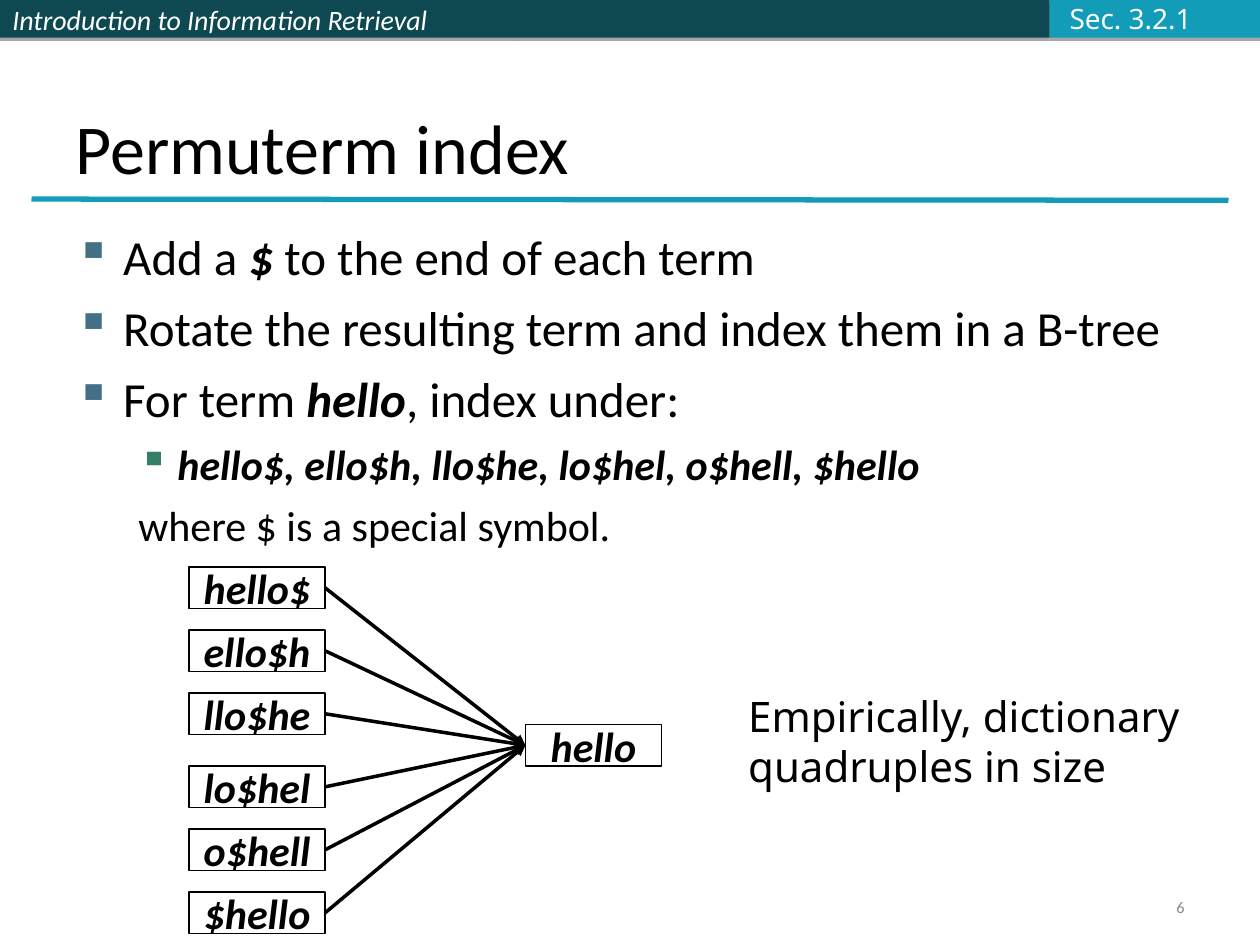
from lxml import etree
from pptx import Presentation
from pptx.dml.color import RGBColor
from pptx.enum.shapes import MSO_CONNECTOR, MSO_SHAPE
from pptx.enum.text import MSO_ANCHOR, MSO_AUTO_SIZE, PP_ALIGN
from pptx.oxml.ns import qn
from pptx.util import Inches, Pt

RECTANGLE = MSO_SHAPE.RECTANGLE
STRAIGHT = MSO_CONNECTOR.STRAIGHT
TOP, MIDDLE, BOTTOM = MSO_ANCHOR.TOP, MSO_ANCHOR.MIDDLE, MSO_ANCHOR.BOTTOM
LEFT, CENTER, RIGHT = PP_ALIGN.LEFT, PP_ALIGN.CENTER, PP_ALIGN.RIGHT
FIT_SHAPE = MSO_AUTO_SIZE.SHAPE_TO_FIT_TEXT
RIGHT_SITE, LEFT_SITE = 3, 1

COLORS = {
    "dark": "0E4851", "teal": "139CB7", "ink": "000000", "white": "FFFFFF",
    "section": "FBFCFF", "number": "898989",
    "bullet": "437085", "sub_bullet": "357E69",
}
WIDTH, HEIGHT = 10, 7.5
BAR_HEIGHT = 0.3
COURSE = "Introduction to Information Retrieval"
SECTION = "Sec. 3.2.1"
TITLE = "Permuterm index"
PAGE = "6"
BARS = [("dark", 4.08), ("dark", 4.25), ("teal", 1.67)]

MAIN = {"size": 28, "before": 7, "indent": (0.38, -0.38), "bullet": "bullet"}
SUB = {"size": 24, "before": 6, "indent": (0.81, -0.31), "bullet": "sub_bullet"}
POINTS = [
    ([("Add a ", False), ("$", True), (" to the end of each term", False)], MAIN),
    ([("Rotate the resulting term and index them in a B-tree", False)], MAIN),
    ([("For term ", False), ("hello", True), (", index under:", False)], MAIN),
    ([("hello$, ello$h, llo$he, lo$hel, o$hell, $hello", True)], SUB),
    ([("where $ is a special symbol.", False)], {**SUB, "bullet": None}),
]
ROTATION_GROUPS = [(4.5, ["hello$", "ello$h", "llo$he"]),
                   (6.08, ["lo$hel", "o$hell", "$hello"])]
ROTATION_PITCH = 0.5
ROTATION_LEFT, TERM_LEFT, TERM_TOP = 1.5, 4.17, 5.75
BOX_WIDTH, BOX_HEIGHT = 1.08, 0.33
TERM = "hello"
REMARK = ["Empirically, dictionary", "quadruples in size"]


def rgb(name):
    return RGBColor.from_string(COLORS[name])


def write(frame, text, size=24, color="ink", font="Calibri", bold=False, italic=False,
          align=LEFT, before=0, spacing=None, indent=None, bullet=None, first=True):
    paragraph = frame.paragraphs[0] if first else frame.add_paragraph()
    paragraph.alignment = align
    paragraph.space_before = Pt(before)
    if spacing:
        paragraph.line_spacing = spacing
    if indent:
        properties = paragraph._p.get_or_add_pPr()
        properties.set("marL", str(Inches(indent[0])))
        properties.set("indent", str(Inches(indent[1])))
        if bullet:
            tint = etree.SubElement(properties, qn("a:buClr"))
            etree.SubElement(tint, qn("a:srgbClr"), val=COLORS[bullet])
            etree.SubElement(properties, qn("a:buChar"), char="▪")
        else:
            etree.SubElement(properties, qn("a:buNone"))
    pieces = [(text, False)] if isinstance(text, str) else text
    for words, strong in pieces:
        run = paragraph.add_run()
        run.text = words
        run.font.name, run.font.size = font, Pt(size)
        run.font.bold, run.font.italic = bold or strong, italic or strong
        run.font.color.rgb = rgb(color)


def text_area(left, top, width, height, anchor=TOP, wrap=True, fit=False):
    frame = slide.shapes.add_textbox(*map(Inches, (left, top, width, height))).text_frame
    frame.word_wrap, frame.vertical_anchor = wrap, anchor
    if fit:
        frame.auto_size = FIT_SHAPE
    return frame


def rectangle(left, top, width, height):
    shape = slide.shapes.add_shape(RECTANGLE, *map(Inches, (left, top, width, height)))
    shape.shadow.inherit = False
    shape.text_frame.vertical_anchor = MIDDLE
    return shape


def header_bar(left, width, color):
    bar = rectangle(left, 0, width, BAR_HEIGHT)
    bar.fill.solid()
    bar.fill.fore_color.rgb = rgb(color)
    bar.line.fill.background()
    effects = bar._element.spPr.find(qn("a:effectLst"))
    shadow = etree.SubElement(effects, qn("a:outerShdw"), blurRad="0",
                              dist=str(Pt(1.8)), dir="5400000", rotWithShape="0")
    tint = etree.SubElement(shadow, qn("a:srgbClr"), val=COLORS["ink"])
    etree.SubElement(tint, qn("a:alpha"), val="35000")
    return bar


def term_box(left, top, term):
    box = rectangle(left, top, BOX_WIDTH, BOX_HEIGHT)
    box.fill.background()
    box.line.color.rgb = rgb("ink")
    box.line.width = Pt(0.74)
    write(box.text_frame, term, bold=True, italic=True, align=CENTER)
    return box


def straight_line(start, end, color, width):
    line = slide.shapes.add_connector(STRAIGHT, *map(Inches, (*start, *end)))
    line.line.color.rgb = rgb(color)
    line.line.width = Pt(width)
    etree.SubElement(line._element.spPr, qn("a:effectLst"))
    return line


def arrow(source, target):
    line = straight_line((0, 0), (1, 1), "ink", 2)
    line.begin_connect(source, RIGHT_SITE)
    line.end_connect(target, LEFT_SITE)
    etree.SubElement(line.line._get_or_add_ln(), qn("a:tailEnd"), type="triangle")


deck = Presentation()
deck.slide_width, deck.slide_height = Inches(WIDTH), Inches(HEIGHT)
slide = deck.slides.add_slide(deck.slide_layouts[5])

bars = []
bar_left = 0
for bar_color, bar_width in BARS:
    bars.append(header_bar(bar_left, bar_width, bar_color))
    bar_left += bar_width
write(bars[0].text_frame, COURSE, size=16, color="white", italic=True)
straight_line((0.25, 1.58), (WIDTH - 0.25, 1.59), "teal", 3)

title = slide.shapes.title
title.left, title.top, title.width, title.height = map(Inches, (0.5, 0.3, 9, 1.25))
title.text_frame.vertical_anchor = BOTTOM
write(title.text_frame, TITLE, size=40)

body = text_area(0.5, 1.75, 9, 5.42)
for index, (point, style) in enumerate(POINTS):
    write(body, point, first=index == 0, **style)

write(text_area(8.39, -0.04, 1.17, 0.37, anchor=MIDDLE, wrap=False, fit=True),
      SECTION, size=16, color="section", font="Noto Sans")
write(text_area(7.17, 7.08, 2.33, 0.27, anchor=MIDDLE),
      PAGE, size=9.3, color="number", align=RIGHT, spacing=0.8)

rotations = [term_box(ROTATION_LEFT, group_top + row * ROTATION_PITCH, rotation)
             for group_top, group in ROTATION_GROUPS
             for row, rotation in enumerate(group)]
term_target = term_box(TERM_LEFT, TERM_TOP, TERM)
for rotation_box in rotations:
    arrow(rotation_box, term_target)

remark = text_area(5.84, 5.43, 3.63, 0.9, wrap=False, fit=True)
for index, remark_line in enumerate(REMARK):
    write(remark, remark_line, font="Noto Sans", first=index == 0)

deck.save("out.pptx")
